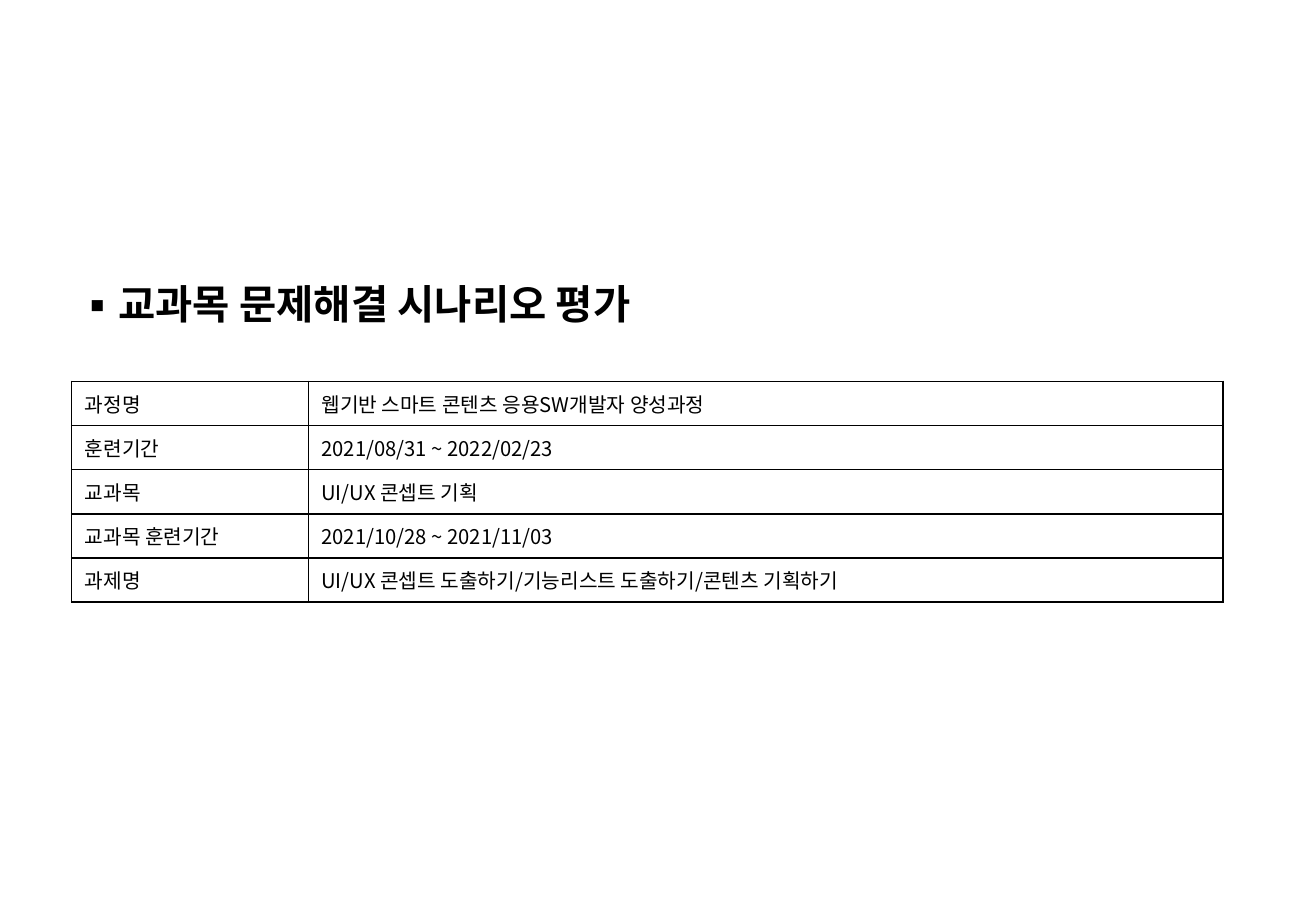
from dataclasses import dataclass
from typing import NamedTuple

from lxml import etree
from pptx import Presentation
from pptx.dml.color import RGBColor
from pptx.enum.text import MSO_ANCHOR, PP_ALIGN
from pptx.oxml.ns import qn
from pptx.util import Pt


@dataclass(frozen=True)
class Theme:
    font: str = "Noto Sans CJK KR"
    ink: str = "000000"
    paper: str = "FFFFFF"
    title_size: float = 24
    cell_size: float = 12
    border: float = 1


class Box(NamedTuple):
    left: float
    top: float
    width: float
    height: float

    def lengths(self):
        return [Pt(value) for value in self]


THEME = Theme()
COURSE_DETAILS = [
    ("과정명", "웹기반 스마트 콘텐츠 응용SW개발자 양성과정"),
    ("훈련기간", "2021/08/31 ~ 2022/02/23"),
    ("교과목", "UI/UX 콘셉트 기획"),
    ("교과목 훈련기간", "2021/10/28 ~ 2021/11/03"),
    ("과제명", "UI/UX 콘셉트 도출하기/기능리스트 도출하기/콘텐츠 기획하기"),
]


def write(frame, text, size, bold=False):
    frame.word_wrap = True
    paragraph = frame.paragraphs[0]
    paragraph.alignment = PP_ALIGN.LEFT
    run = paragraph.add_run()
    run.text = text
    font = run.font
    font.name, font.size, font.bold = THEME.font, Pt(size), bold
    font.color.rgb = RGBColor.from_string(THEME.ink)
    etree.SubElement(font._element, qn("a:ea"), typeface=THEME.font)
    return paragraph


def add_bullet(paragraph, char, indent):
    properties = paragraph._p.get_or_add_pPr()
    properties.set("marL", str(Pt(indent)))
    properties.set("indent", str(-Pt(indent)))
    etree.SubElement(properties, qn("a:buFont"), typeface=THEME.font)
    etree.SubElement(properties, qn("a:buChar"), char=char)


def add_borders(cell):
    properties = cell._tc.get_or_add_tcPr()
    for index, side in enumerate(("lnL", "lnR", "lnT", "lnB")):
        line = etree.Element(qn(f"a:{side}"), w=str(Pt(THEME.border)))
        fill = etree.SubElement(line, qn("a:solidFill"))
        etree.SubElement(fill, qn("a:srgbClr"), val=THEME.ink)
        properties.insert(index, line)


def place_title(slide, box, text):
    title = slide.shapes.title
    title.left, title.top, title.width, title.height = box.lengths()
    title.text_frame.vertical_anchor = MSO_ANCHOR.MIDDLE
    add_bullet(write(title.text_frame, text, THEME.title_size, bold=True), "▪", 23.5)


def place_details(slide, box, details, label_width):
    table = slide.shapes.add_table(len(details), 2, *box.lengths()).table
    table.first_row = table.horz_banding = False
    table.columns[0].width = Pt(label_width)
    table.columns[1].width = Pt(box.width - label_width)
    for row, texts in zip(table.rows, details):
        row.height = Pt(box.height / len(details))
        for cell, text in zip(row.cells, texts):
            cell.margin_left = cell.margin_right = Pt(7.8)
            cell.margin_top = cell.margin_bottom = Pt(3.6)
            cell.vertical_anchor = MSO_ANCHOR.MIDDLE
            cell.fill.solid()
            cell.fill.fore_color.rgb = RGBColor.from_string(THEME.paper)
            write(cell.text_frame, text, THEME.cell_size)
            add_borders(cell)


def main():
    presentation = Presentation()
    presentation.slide_width, presentation.slide_height = Pt(780), Pt(540)
    slide = presentation.slides.add_slide(presentation.slide_layouts[5])
    place_title(slide, Box(39, 135, 702, 90), "교과목 문제해결 시나리오 평가")
    place_details(slide, Box(42.5, 226, 682.5, 131), COURSE_DETAILS, 140.25)
    presentation.save("out.pptx")


main()
